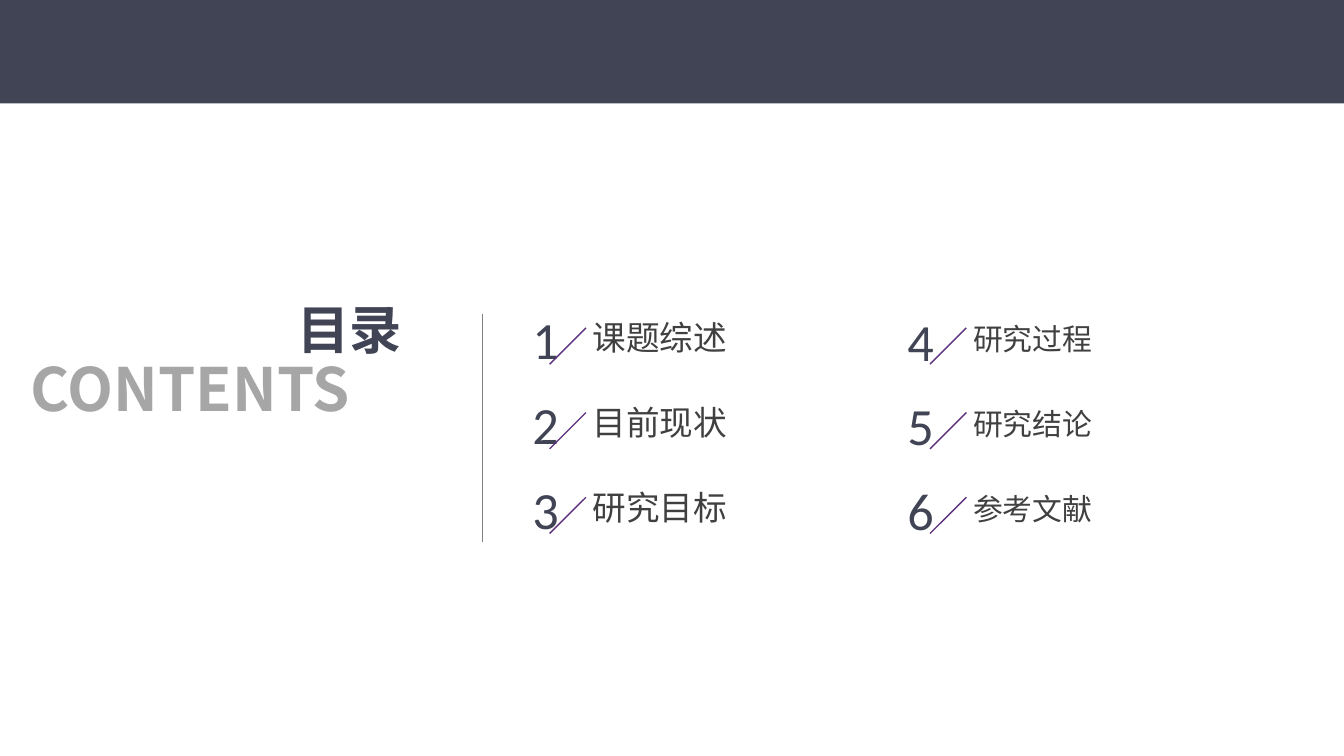
from dataclasses import dataclass

from lxml.etree import SubElement
from pptx import Presentation
from pptx.dml.color import RGBColor
from pptx.enum.shapes import MSO_CONNECTOR, MSO_SHAPE
from pptx.enum.text import MSO_AUTO_SIZE, PP_ALIGN
from pptx.oxml.ns import qn
from pptx.util import Inches, Pt


@dataclass(frozen=True)
class Theme:
    navy: str = "414455"
    grey: str = "A6A6A6"
    ink: str = "404040"
    purple: str = "5C307D"
    rule: str = "808080"
    cjk: str = "Noto Sans CJK SC"
    latin: str = "Calibri"
    subtitle_size: int = 32
    title_size: int = 28
    number_size: int = 28
    line_width: float = 0.75


@dataclass(frozen=True)
class Column:
    first_number: int
    topics: tuple
    number_left: float
    number_top: float
    label_left: float
    label_top: float
    label_width: float
    label_height: float
    label_size: int


THEME = Theme()
SLIDE_WIDTH = 10
SLIDE_HEIGHT = SLIDE_WIDTH * 9 / 16
ROW_STEP = 0.63
SLASH_TOP, SLASH_SIZE = 2.44, 0.27
COLUMNS = (
    Column(1, ("课题综述", "目前现状", "研究目标"),
           3.9, 2.24, 4.36, 2.31, 1.11, 0.45, 18),
    Column(4, ("研究过程", "研究结论", "参考文献"),
           6.69, 2.25, 7.19, 2.34, 1, 0.41, 16),
)


def add_band(shapes):
    band = shapes.add_shape(MSO_SHAPE.RECTANGLE, 0, 0,
                            Inches(SLIDE_WIDTH), Inches(0.77))
    band.shadow.inherit = False
    band.fill.solid()
    band.fill.fore_color.rgb = RGBColor.from_string(THEME.navy)
    band.line.fill.background()


def add_text(shapes, words, box, size, color, font=THEME.cjk, bold=False,
             align=PP_ALIGN.LEFT, wrap=False):
    frame = shapes.add_textbox(*map(Inches, box)).text_frame
    frame.margin_left = frame.margin_right = Inches(0.05)
    frame.margin_top = frame.margin_bottom = Inches(0.05)
    frame.word_wrap = wrap
    frame.auto_size = MSO_AUTO_SIZE.SHAPE_TO_FIT_TEXT
    paragraph = frame.paragraphs[0]
    paragraph.alignment = align
    run = paragraph.add_run()
    run.text = words
    run.font.size = Pt(size)
    run.font.bold = bold
    run.font.color.rgb = RGBColor.from_string(color)
    run.font.name = font
    # The public font name covers Latin letters only.
    SubElement(run.font._element, qn("a:ea"), typeface=font)


def add_line(shapes, start, end, color):
    line = shapes.add_connector(MSO_CONNECTOR.STRAIGHT,
                                *map(Inches, (*start, *end)))
    line.line.color.rgb = RGBColor.from_string(color)
    line.line.width = Pt(THEME.line_width)
    SubElement(line._element.spPr, qn("a:effectLst"))


def add_entry(shapes, column, row):
    """Add one topic with its grouped number and slash."""
    drop = row * ROW_STEP
    add_text(shapes, column.topics[row],
             (column.label_left, column.label_top + drop,
              column.label_width, column.label_height),
             column.label_size, THEME.ink)
    marker = shapes.add_group_shape().shapes
    add_text(marker, str(column.first_number + row),
             (column.number_left, column.number_top + drop, 0.32, 0.54),
             THEME.number_size, THEME.navy, THEME.latin,
             align=PP_ALIGN.CENTER)
    slash_top = SLASH_TOP + drop
    add_line(marker, (column.label_left, slash_top),
             (column.label_left - SLASH_SIZE, slash_top + SLASH_SIZE),
             THEME.purple)


def main():
    deck = Presentation()
    deck.slide_width = Inches(SLIDE_WIDTH)
    deck.slide_height = Inches(SLIDE_HEIGHT)
    shapes = deck.slides.add_slide(deck.slide_layouts[6]).shapes

    add_band(shapes)
    add_text(shapes, "CONTENTS", (0.18, 2.57, 3.42, 0.63),
             THEME.subtitle_size, THEME.grey, bold=True, wrap=True)
    add_text(shapes, "目录", (2.16, 2.16, 0.89, 0.66),
             THEME.title_size, THEME.navy, bold=True)
    for column in COLUMNS:
        for row in range(len(column.topics)):
            add_entry(shapes, column, row)
    add_line(shapes, (3.59, 2.34), (3.59, 4.03), THEME.rule)
    deck.save("out.pptx")


if __name__ == "__main__":
    main()
